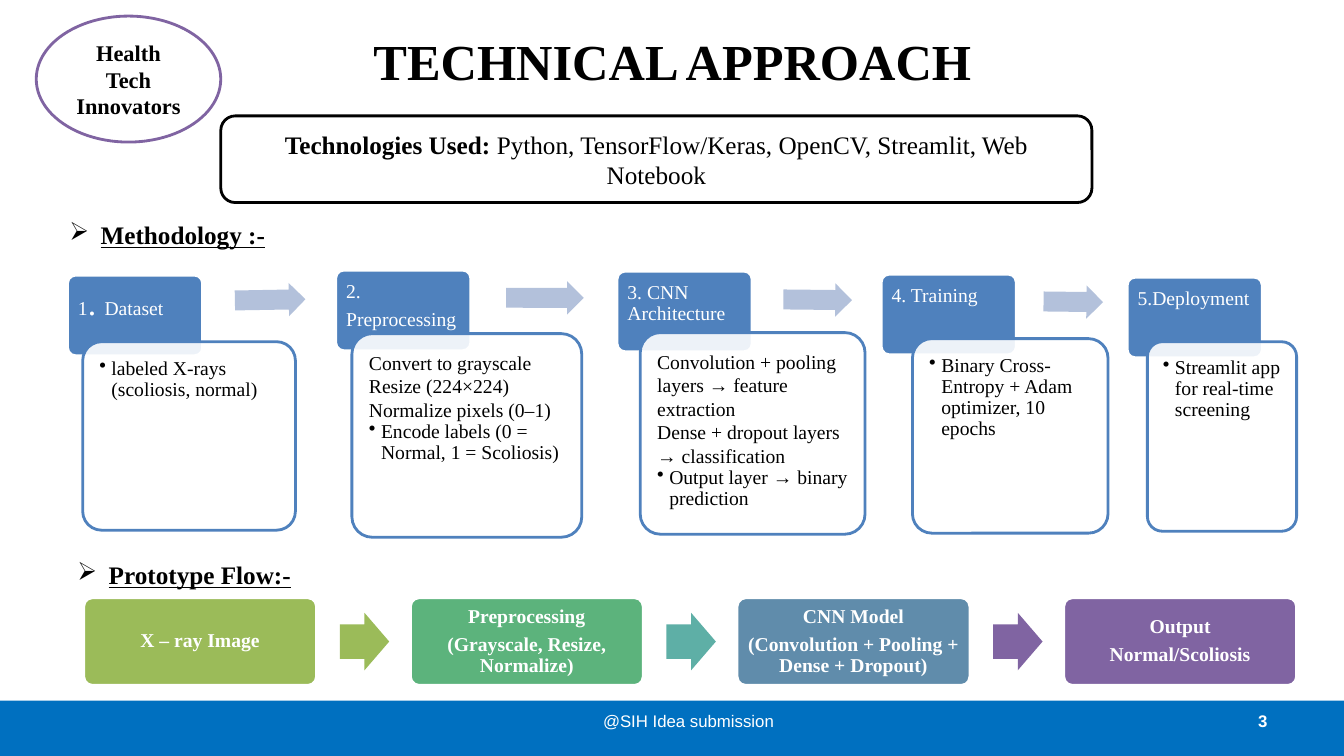
from dataclasses import dataclass

from lxml.etree import SubElement
from pptx import Presentation
from pptx.dml.color import RGBColor
from pptx.enum.shapes import MSO_SHAPE as Preset
from pptx.enum.text import MSO_ANCHOR as Anchor, PP_ALIGN as Align
from pptx.oxml.ns import qn
from pptx.util import Pt

PX = 9144  # EMU per px, 100 px to the inch
SERIF, SANS = "Times New Roman", "Arial"

WHITE = RGBColor(0xFF, 0xFF, 0xFF)
BLACK = RGBColor(0x00, 0x00, 0x00)
FOOTER_BLUE = RGBColor(0x00, 0x70, 0xC0)
STAGE_BLUE = RGBColor(0x4F, 0x81, 0xBD)
PALE_BLUE = RGBColor(0xB3, 0xC1, 0xDB)
PURPLE = RGBColor(0x80, 0x64, 0xA2)
OLIVE = RGBColor(0x9B, 0xBB, 0x59)
GREEN = RGBColor(0x5C, 0xB3, 0x7C)
TEAL = RGBColor(0x5E, 0xAF, 0xA6)
SLATE = RGBColor(0x60, 0x8C, 0xAB)

Box = tuple[int, int, int, int]


@dataclass
class Style:
    size: int
    color: RGBColor = BLACK
    bold: bool = False
    underline: bool = False
    font: str = SERIF


@dataclass
class Stage:
    head: tuple[str, ...]
    head_at: tuple[int, int]
    card: Box
    lines: tuple[str, ...]  # the last one carries the bullet


@dataclass
class Step:
    lines: tuple[str, ...]
    color: RGBColor
    arrow: RGBColor | None


STAGES = [
    Stage(("1",), (67, 273), (82, 339, 211, 187), ("labeled X-rays (scoliosis, normal)",)),
    Stage(("2.", "Preprocessing"), (333, 268), (349, 331, 228, 202),
          ("Convert to grayscale", "Resize (224×224)", "Normalize pixels (0–1)",
           "Encode labels (0 = Normal, 1 = Scoliosis)")),
    Stage(("3. CNN Architecture",), (612, 269), (635, 330, 223, 200),
          ("Convolution + pooling layers → feature extraction",
           "Dense + dropout layers → classification",
           "Output layer → binary prediction")),
    Stage(("4. Training",), (874, 272), (905, 336, 194, 193),
          ("Binary Cross-Entropy + Adam optimizer, 10 epochs",)),
    Stage(("5.Deployment",), (1118, 275), (1138, 339, 148, 188),
          ("Streamlit app for real-time screening",)),
]
# Left, top, width and rotation of the arrows between stages
STAGE_ARROWS = [(233, 281, 70, 359), (502, 279, 77, 0.1),
                (777, 281, 68, 0.6), (1035, 283, 59, 0.7)]
STEPS = [
    Step(("X – ray Image",), OLIVE, OLIVE),
    Step(("Preprocessing", "(Grayscale, Resize, Normalize)"), GREEN, TEAL),
    Step(("CNN Model", "(Convolution + Pooling + Dense + Dropout)"), SLATE, PURPLE),
    Step(("Output", "Normal/Scoliosis"), PURPLE, None),
]


def emu(box: Box) -> list[int]:
    return [value * PX for value in box]


def apply(span, style: Style) -> None:
    font = span.font
    font.name, font.size, font.bold = style.font, Pt(style.size), style.bold
    font.underline = style.underline
    font.color.rgb = style.color


def add_span(para, text: str, style: Style) -> None:
    span = para.add_run()
    span.text = text
    apply(span, style)


def write(shape, lines: tuple[str, ...], style: Style, align=Align.CENTER,
          anchor=Anchor.MIDDLE, inset: tuple[int, int] = (10, 5),
          spacing: float = 1.0, after: int = 0) -> None:
    frame = shape.text_frame
    frame.word_wrap = True
    frame.vertical_anchor = anchor
    frame.margin_left = frame.margin_right = inset[0] * PX
    frame.margin_top = frame.margin_bottom = inset[1] * PX
    frame.text = "\n".join(lines)
    for para in frame.paragraphs:
        para.alignment = align
        para.line_spacing = spacing
        para.space_after = Pt(after)
        for span in para.runs:
            apply(span, style)


def add_bullet(para, mark: str, indent: int) -> None:
    props = para._p.get_or_add_pPr()
    props.set("marL", str(indent * PX))
    props.set("indent", str(-indent * PX))
    SubElement(props, qn("a:buChar")).set("char", mark)


def add_block(page, preset, box: Box, fill: RGBColor, line: RGBColor | None = None,
              adjust: tuple[float, ...] = ()):
    shape = page.shapes.add_shape(preset, *emu(box))
    shape.shadow.inherit = False
    shape.fill.solid()
    shape.fill.fore_color.rgb = fill
    if line is None:
        shape.line.fill.background()
    else:
        shape.line.color.rgb = line
        shape.line.width = Pt(2)
    for index, value in enumerate(adjust):
        shape.adjustments[index] = value
    return shape


def add_arrow(page, box: Box, color: RGBColor, rotation: float = 0) -> None:
    arrow = add_block(page, Preset.RIGHT_ARROW, box, color, adjust=(0.6, 0.5))
    arrow.rotation = rotation


def add_label(page, box: Box, text: str, style: Style, align=Align.LEFT):
    label = page.shapes.add_textbox(*emu(box))
    write(label, (text,), style, align)
    return label


def add_heading(page, box: Box, text: str) -> None:
    heading = add_label(page, box, text, Style(18, bold=True, underline=True))
    add_bullet(heading.text_frame.paragraphs[0], "➢", 31)


def add_stage(page, stage: Stage):
    head = add_block(page, Preset.ROUNDED_RECTANGLE, (*stage.head_at, 134, 80),
                     STAGE_BLUE, WHITE, (0.1,))
    write(head, stage.head, Style(14, WHITE), Align.LEFT, Anchor.TOP, (8, 9), 0.9, 5)
    card = add_block(page, Preset.ROUNDED_RECTANGLE, stage.card, WHITE, STAGE_BLUE, (0.1,))
    color = card.fill._xPr.find(qn("a:solidFill"))[0]
    SubElement(color, qn("a:alpha")).set("val", "90000")
    write(card, stage.lines, Style(14), Align.LEFT, Anchor.TOP, (11, 11))
    last = card.text_frame.paragraphs[-1]
    last.line_spacing = 0.9
    add_bullet(last, "•", 12)
    return head


def main() -> None:
    deck = Presentation()
    deck.slide_width, deck.slide_height = 1333 * PX, 750 * PX
    page = deck.slides.add_slide(deck.slide_layouts[5])

    # Title
    title = page.shapes.title
    title.left, title.top, title.width, title.height = emu((67, -1, 1200, 122))
    write(title, ("TECHNICAL APPROACH",), Style(36, bold=True))

    # Footer
    add_block(page, Preset.RECTANGLE, (0, 695, 1333, 55), FOOTER_BLUE)
    add_label(page, (956, 695, 311, 40), "3", Style(12, WHITE, True, font=SANS), Align.RIGHT)
    add_label(page, (508, 695, 350, 40), "@SIH Idea submission",
              Style(12, WHITE, font=SANS), Align.CENTER)

    # Team and technologies
    team = add_block(page, Preset.OVAL, (36, 16, 183, 125), WHITE, PURPLE)
    write(team, ("Health", "Tech Innovators"), Style(16, bold=True))
    tools = add_block(page, Preset.ROUNDED_RECTANGLE, (219, 115, 864, 86), WHITE, BLACK)
    write(tools, ("Technologies Used: ",), Style(18, bold=True))
    add_span(tools.text_frame.paragraphs[0],
             "Python, TensorFlow/Keras, OpenCV, Streamlit, Web Notebook", Style(18))

    # Methodology
    add_heading(page, (59, 213, 223, 40), "Methodology :-")
    heads = [add_stage(page, stage) for stage in STAGES]
    dataset = heads[0].text_frame.paragraphs[0]
    add_span(dataset, ". ", Style(24, WHITE))
    add_span(dataset, "Dataset", Style(14, WHITE))
    for left, top, width, rotation in STAGE_ARROWS:
        add_arrow(page, (left, top, width, 33), PALE_BLUE, rotation)

    # Prototype flow
    add_heading(page, (67, 550, 245, 40), "Prototype Flow:-")
    for index, step in enumerate(STEPS):
        left = 83 + index * 324
        block = add_block(page, Preset.ROUNDED_RECTANGLE, (left, 593, 231, 87),
                          step.color, WHITE, (0.1,))
        write(block, step.lines, Style(14, WHITE, True), inset=(6, 6), spacing=0.9, after=5)
        if step.arrow is not None:
            add_arrow(page, (left + 254, 608, 49, 57), step.arrow)

    deck.save("out.pptx")


if __name__ == "__main__":
    main()
